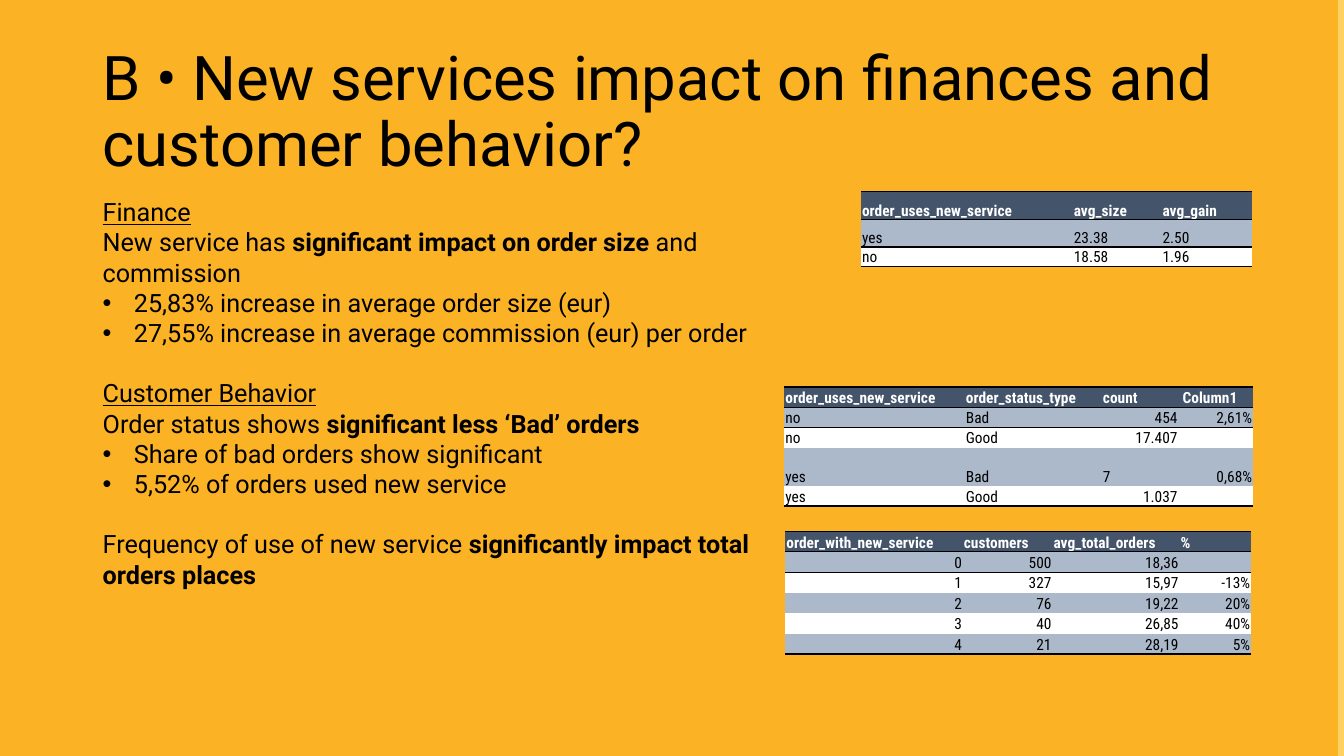
from lxml import etree
from pptx import Presentation
from pptx.dml.color import RGBColor
from pptx.enum.shapes import MSO_SHAPE
from pptx.enum.text import MSO_ANCHOR, PP_ALIGN
from pptx.oxml.ns import qn
from pptx.util import Inches, Pt

RECTANGLE = MSO_SHAPE.RECTANGLE
MIDDLE, BOTTOM = MSO_ANCHOR.MIDDLE, MSO_ANCHOR.BOTTOM
ALIGN = {"l": PP_ALIGN.LEFT, "r": PP_ALIGN.RIGHT}
FONT, TABLE_FONT = "Roboto", "Roboto Condensed"
NO_STYLE = "{2D5ABB26-0587-4C30-8999-92F81FD0307C}"
COLORS = {"page": "FBB224", "edge": "FFD162", "text": "000000",
          "header": "44546A", "band": "ACB9CA", "white": "FFFFFF"}

TITLE = "B • New services impact on finances and customer behavior?"

# Each paragraph: kind, then (text, style) runs; "u" underlined, "b" bold
BODY = [
    ("heading", [("Finance", "u")]),
    ("plain", [("New service has ", ""), ("significant impact on order size ", "b"),
               ("and commission", "")]),
    ("bullet", [("25,83% increase in average order size (eur)", "")]),
    ("bullet", [("27,55% increase in average commission (eur) per order", "")]),
    ("section", [("Customer Behavior", "u")]),
    ("plain", [("Order status shows ", ""), ("significant less ‘Bad’ orders", "b")]),
    ("bullet", [("Share of bad orders show significant", "")]),
    ("bullet", [("5,52% of orders used new service", "")]),
    ("section", [("Frequency of use of new service ", ""),
                 ("significantly impact total orders places", "b")]),
]

# "align" holds one letter per column; "left_cells" are exceptions
TABLES = [
    {"at": (8.54, 1.9), "cols": [2.1, 0.88, 0.9], "heights": [0.28, 0.27, 0.19],
     "align": "lll", "insets": [0.01] * 3, "left_cells": [],
     "rows": [("order_uses_new_service", "avg_size", "avg_gain"),
              ("yes", "23.38", "2.50"),
              ("no", "18.58", "1.96")]},
    {"at": (7.78, 3.84), "cols": [1.79, 1.36, 0.79, 0.71],
     "heights": [0.2, 0.2, 0.2, 0.38, 0.2],
     "align": "llrr", "insets": [0.01, 0.01, 0.04, 0.01], "left_cells": [(3, 2)],
     "rows": [("order_uses_new_service", "order_status_type", "count", "Column1"),
              ("no", "Bad", "454", "2,61%"),
              ("no", "Good", "17.407", ""),
              ("yes", "Bad", "7", "0,68%"),
              ("yes", "Good", "1.037", "")]},
    {"at": (7.79, 5.27), "cols": [1.76, 0.89, 1.26, 0.71], "heights": [1.22 / 6] * 6,
     "align": "rrrr", "insets": [0.01] * 4, "left_cells": [],
     "rows": [("order_with_new_service", "customers", "avg_total_orders", "%"),
              ("0", "500", "18,36", ""),
              ("1", "327", "15,97", "-13%"),
              ("2", "76", "19,22", "20%"),
              ("3", "40", "26,85", "40%"),
              ("4", "21", "28,19", "5%")]},
]


def color(name):
    return RGBColor.from_string(COLORS[name])


def add_panel(page, left, width, fill):
    panel = page.shapes.add_shape(RECTANGLE, Inches(left), 0, Inches(width), Inches(7.5))
    panel.shadow.inherit = False
    panel.fill.solid()
    panel.fill.fore_color.rgb = color(fill)
    panel.line.fill.background()


def add_frame(page, left, top, width, height):
    box = page.shapes.add_textbox(*map(Inches, (left, top, width, height)))
    box.text_frame.word_wrap = True
    return box.text_frame


def add_span(para, text, size, font=FONT, ink="text", style=""):
    span = para.add_run()
    span.text = text
    span.font.size, span.font.name = Pt(size), font
    span.font.color.rgb = color(ink)
    span.font.bold = "b" in style
    span.font.underline = "u" in style


def add_bullet(para):
    props = para._p.get_or_add_pPr()
    props.set("marL", str(Inches(0.31)))
    props.set("indent", str(Inches(-0.31)))
    etree.SubElement(props, qn("a:buFont"), typeface="Arial")
    etree.SubElement(props, qn("a:buChar"), char="•")


def add_border(cell, side):
    line = etree.SubElement(cell._tc.get_or_add_tcPr(), qn(side), w=str(Pt(1)))
    fill = etree.SubElement(line, qn("a:solidFill"))
    etree.SubElement(fill, qn("a:srgbClr"), val=COLORS["text"])


def fill_cell(cell, text, row, last, align, inset):
    cell.margin_left = cell.margin_top = Inches(0.01)
    cell.margin_right, cell.margin_bottom = Inches(inset), 0
    cell.vertical_anchor = BOTTOM
    if row in (0, 1):
        add_border(cell, "a:lnT")
    if row in (0, last):
        add_border(cell, "a:lnB")
    cell.fill.solid()
    cell.fill.fore_color.rgb = color("header" if row == 0 else "band" if row % 2 else "white")
    para = cell.text_frame.paragraphs[0]
    para.alignment = ALIGN[align]
    if text:
        add_span(para, text, 11, TABLE_FONT, "text" if row else "white", "" if row else "b")
    else:
        etree.SubElement(para._p, qn("a:endParaRPr"), sz="1100")


def add_data_table(page, data):
    rows, cols, heights = data["rows"], data["cols"], data["heights"]
    size = (sum(cols), sum(heights))
    frame = page.shapes.add_table(len(rows), len(cols), *map(Inches, data["at"] + size))
    table = frame.table
    table.horz_banding = False
    table._tbl.tblPr.find(qn("a:tableStyleId")).text = NO_STYLE
    for column, width in zip(table.columns, cols):
        column.width = Inches(width)
    for r, values in enumerate(rows):
        table.rows[r].height = Inches(heights[r])
        for c, text in enumerate(values):
            to_left = r == 0 or (r, c) in data["left_cells"]
            fill_cell(table.cell(r, c), text, r, len(rows) - 1,
                      "l" if to_left else data["align"][c],
                      0.01 if to_left else data["insets"][c])


deck = Presentation()
deck.slide_width, deck.slide_height = Inches(13.33), Inches(7.5)
page = deck.slides.add_slide(deck.slide_layouts[6])

# Background and right edge
add_panel(page, 0, 13.33, "page")
add_panel(page, 13.27, 0.06, "edge")

# Title
title = add_frame(page, 0.92, 0.4, 11.5, 1.45)
title.vertical_anchor = MIDDLE
title.paragraphs[0].line_spacing = 0.9
add_span(title.paragraphs[0], TITLE, 44)

# Findings
body = add_frame(page, 0.92, 1.9, 7.05, 4.04)
for index, (kind, spans) in enumerate(BODY):
    para = body.add_paragraph() if index else body.paragraphs[0]
    if kind == "section":
        para.space_before = Pt(21.5)
    if kind == "bullet":
        add_bullet(para)
    for text, style in spans:
        add_span(para, text, 18, style=style)

# Data tables
for data in TABLES:
    add_data_table(page, data)

deck.save("out.pptx")
